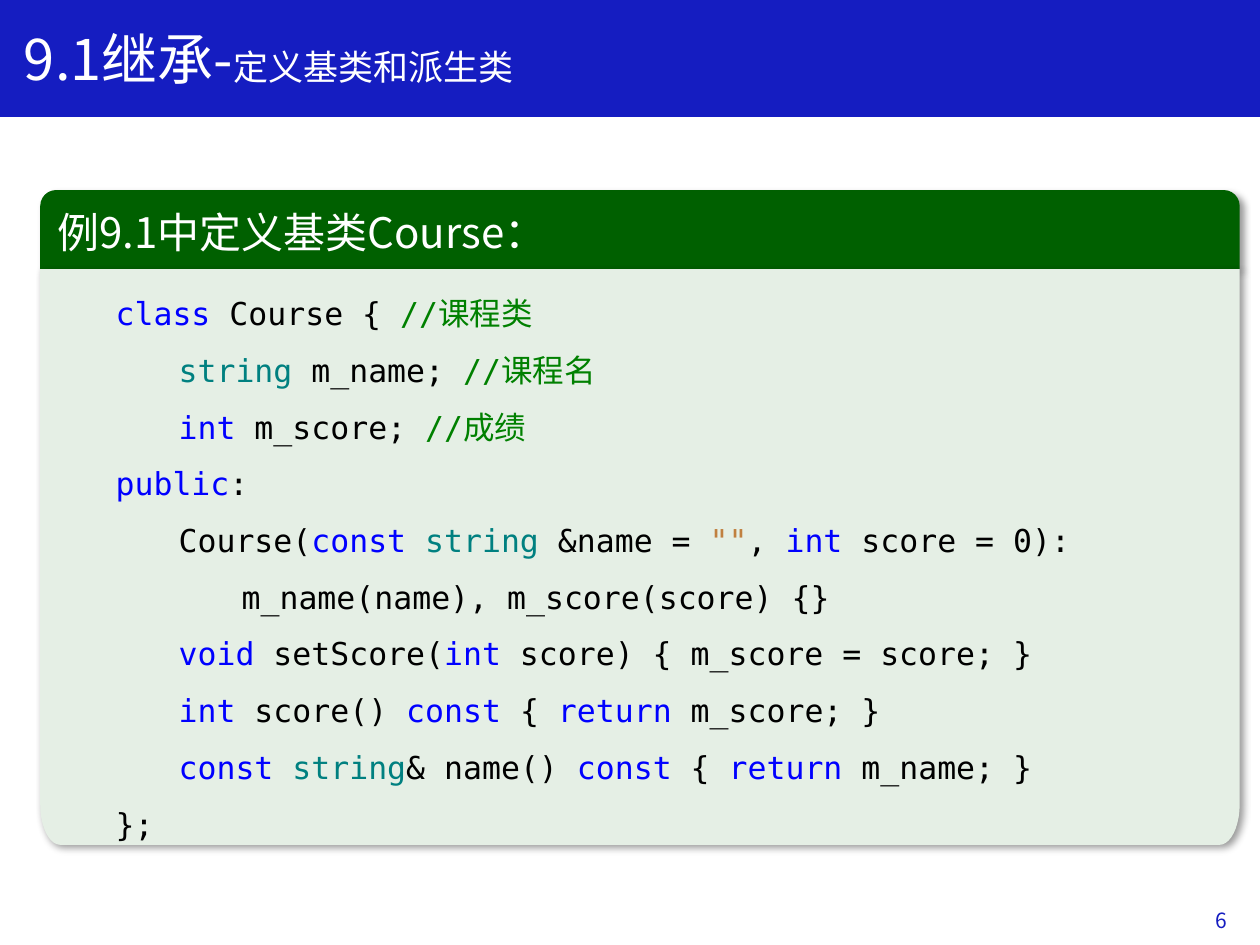
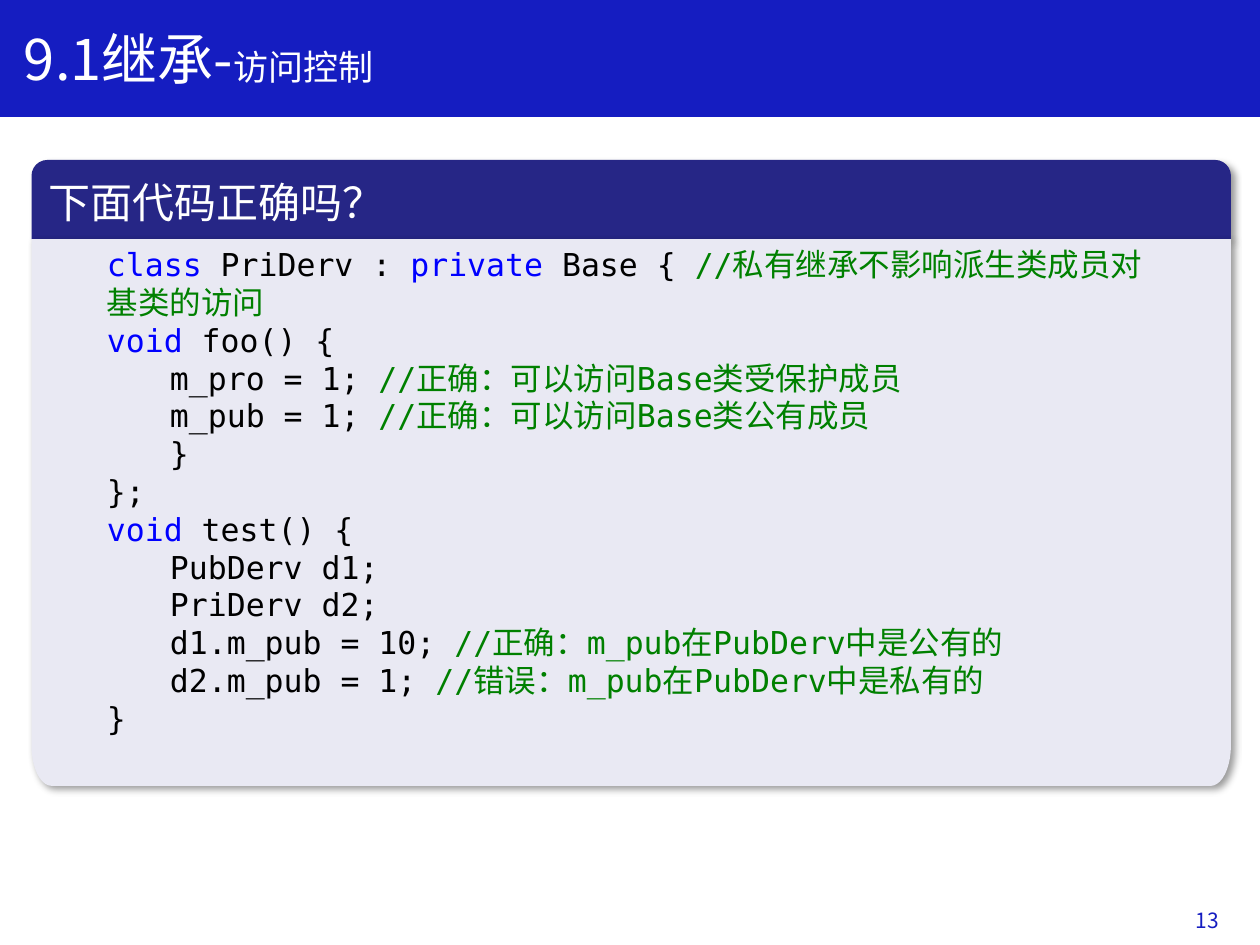
import itertools
import math

import pptx
import pptx.dml.color
import pptx.enum.shapes
import pptx.enum.text
import pptx.oxml
import pptx.oxml.ns
import pptx.util

Pt = pptx.util.Pt
ALIGN = pptx.enum.text.PP_ALIGN
ANCHOR = pptx.enum.text.MSO_ANCHOR
SHAPE = pptx.enum.shapes.MSO_SHAPE

SANS = "Noto Sans CJK SC"
MONO = "DejaVu Sans Mono"
BLUE, WHITE, BLACK = "151DC1", "FFFFFF", "000000"
NOTE, QUOTE = "008000", "C08040"
WORDS = dict.fromkeys("class public private const int void return".split(), "0000FF")
WORDS["string"] = "008080"

WIDE, HEAD = 685.4, 45.2
TAB = 36

COURSE = """\
class Course { //课程类
\tstring m_name; //课程名
\tint m_score; //成绩
public:
\tCourse(const string &name = "", int score = 0):
\t\tm_name(name), m_score(score) {}
\tvoid setScore(int score) { m_score = score; }
\tint score() const { return m_score; }
\tconst string& name() const { return m_name; }
};"""

ACCESS = """\
class PriDerv : private Base { //私有继承不影响派生类成员对
基类的访问
void foo() {
\tm_pro = 1; //正确：可以访问Base类受保护成员
\tm_pub = 1; //正确：可以访问Base类公有成员
\t}
};
void test() {
\tPubDerv d1;
\tPriDerv d2;
\td1.m_pub = 10; //正确：m_pub在PubDerv中是公有的
\td2.m_pub = 1; //错误：m_pub在PubDerv中是私有的
}"""


def rgb(code):
    return pptx.dml.color.RGBColor.from_string(code)


def style(font, size, code, face=SANS):
    """Set size, colour and the Latin and East Asian faces."""
    font.size = Pt(size)
    font.color.rgb = rgb(code)
    font.name = face
    far = pptx.oxml.ns.qn("a:ea")
    font._element.append(font._element.makeelement(far, {"typeface": SANS}))


def paint(shape, code):
    shape.fill.solid()
    shape.fill.fore_color.rgb = rgb(code)
    shape.line.fill.background()
    shape.shadow.inherit = False


def shade(shape):
    """Give the shape a soft shadow to the lower right."""
    glow = pptx.oxml.parse_xml(
        f'<a:outerShdw {pptx.oxml.ns.nsdecls("a")} blurRad="50800" dist="38100"'
        ' dir="2700000" algn="tl" rotWithShape="0"><a:srgbClr val="000000">'
        '<a:alpha val="40000"/></a:srgbClr></a:outerShdw>')
    shape._element.spPr.find(pptx.oxml.ns.qn("a:effectLst")).append(glow)


def write(frame, text, size, code, align=ALIGN.LEFT):
    frame.word_wrap = True
    frame.vertical_anchor = ANCHOR.MIDDLE
    para = frame.paragraphs[0]
    para.text = text
    para.alignment = align
    style(para.font, size, code)


def band(slide, layout):
    """Put the title band behind everything on the layout."""
    bar = slide.shapes.add_shape(SHAPE.RECTANGLE, 0, 0, Pt(720), Pt(66.2))
    paint(bar, BLUE)
    bar.line.color.rgb = rgb(BLUE)
    bar.line.width = Pt(1)
    layout.shapes._spTree.insert(2, bar._element)


def title(slide, topic):
    box = slide.shapes.title
    box.left, box.top, box.width, box.height = Pt(6.5), Pt(12.2), Pt(528.5), Pt(46)
    frame = box.text_frame
    frame.auto_size = pptx.enum.text.MSO_AUTO_SIZE.NONE
    frame.word_wrap = True
    frame.vertical_anchor = ANCHOR.MIDDLE
    frame.margin_top = 0
    para = frame.paragraphs[0]
    para.alignment = ALIGN.LEFT
    for text, size in (("9.1继承-", 32), (topic, 20)):
        run = para.add_run()
        run.text = text
        style(run.font, size, WHITE)


def kind(char):
    if not char.isascii():
        return "han"
    if char == '"':
        return "quote"
    return "word" if char.isalnum() or char == "_" else "mark"


def split(line):
    """Yield (text, colour, face) for the parts of a line of code."""
    code, slash, note = line.partition("//")
    for sort, chars in itertools.groupby(code, kind):
        text = "".join(chars)
        if sort == "han":
            yield text, NOTE, SANS
        else:
            yield text, QUOTE if sort == "quote" else WORDS.get(text, BLACK), MONO
    if slash:
        yield slash, NOTE, MONO
    for plain, chars in itertools.groupby(note, str.isascii):
        yield "".join(chars), NOTE, MONO if plain else SANS


def listing(frame, code, space):
    frame.word_wrap = True
    frame.vertical_anchor = ANCHOR.TOP
    for row, line in enumerate(code.splitlines()):
        para = frame.add_paragraph() if row else frame.paragraphs[0]
        text = line.lstrip("\t")
        depth = 1 + len(line) - len(text)
        props = para._p.get_or_add_pPr()
        props.set("marL", str(Pt(depth * TAB)))
        props.set("indent", "0")
        para.alignment = ALIGN.LEFT
        para.line_spacing = space
        for part, tint, face in split(text):
            run = para.add_run()
            run.text = part
            style(run.font, 18, tint, face)


def sheet(shapes, left, top, high):
    """Draw a box whose two lower corners are quarter ellipses."""
    right, low, wide, tall = left + WIDE, top + high, 11.5, 23
    turns = [math.radians(step * 9) for step in range(11)]
    east = [(right - wide + wide * math.cos(a), low - tall + tall * math.sin(a))
            for a in turns]
    west = [(left + right - x, y) for x, y in reversed(east)]
    path = shapes.build_freeform(Pt(left), Pt(top))
    path.add_line_segments([(Pt(x), Pt(y)) for x, y in [(right, top), *east, *west]])
    return path.convert_to_shape()


def panel(slide, left, top, high, head, dark, pale, code, space):
    group = slide.shapes.add_group_shape().shapes
    cap = group.add_shape(SHAPE.ROUND_2_SAME_RECTANGLE,
                          Pt(left), Pt(top), Pt(WIDE), Pt(HEAD))
    cap.adjustments[0] = 0.2
    body = sheet(group, left, top + HEAD, high)
    for shape, tint in ((cap, dark), (body, pale)):
        paint(shape, tint)
        shade(shape)
    write(cap.text_frame, head, 24, WHITE)
    listing(body.text_frame, code, space)


def folio(slide, left, number):
    box = slide.shapes.add_textbox(Pt(left), Pt(511.2), Pt(162), Pt(28.8))
    write(box.text_frame, number, 12, BLUE, ALIGN.RIGHT)


def main():
    deck = pptx.Presentation()
    deck.slide_width, deck.slide_height = Pt(720), Pt(540)
    layout = deck.slide_layouts[5]
    pages = [
        ("定义基类和派生类", "6", 23, 108.6, 329, "例9.1中定义基类Course：",
         "006000", "E5EFE5", COURSE, 1.5),
        ("访问控制", "13", 18, 91.4, 312.5, "下面代码正确吗？",
         "262686", "E9E9F3", ACCESS, 1.0),
    ]
    for topic, number, left, *rest in pages:
        slide = deck.slides.add_slide(layout)
        if number == pages[0][1]:
            band(slide, layout)
        title(slide, topic)
        panel(slide, left, *rest)
        folio(slide, left + 523.5, number)
    deck.save("out.pptx")


if __name__ == "__main__":
    main()
